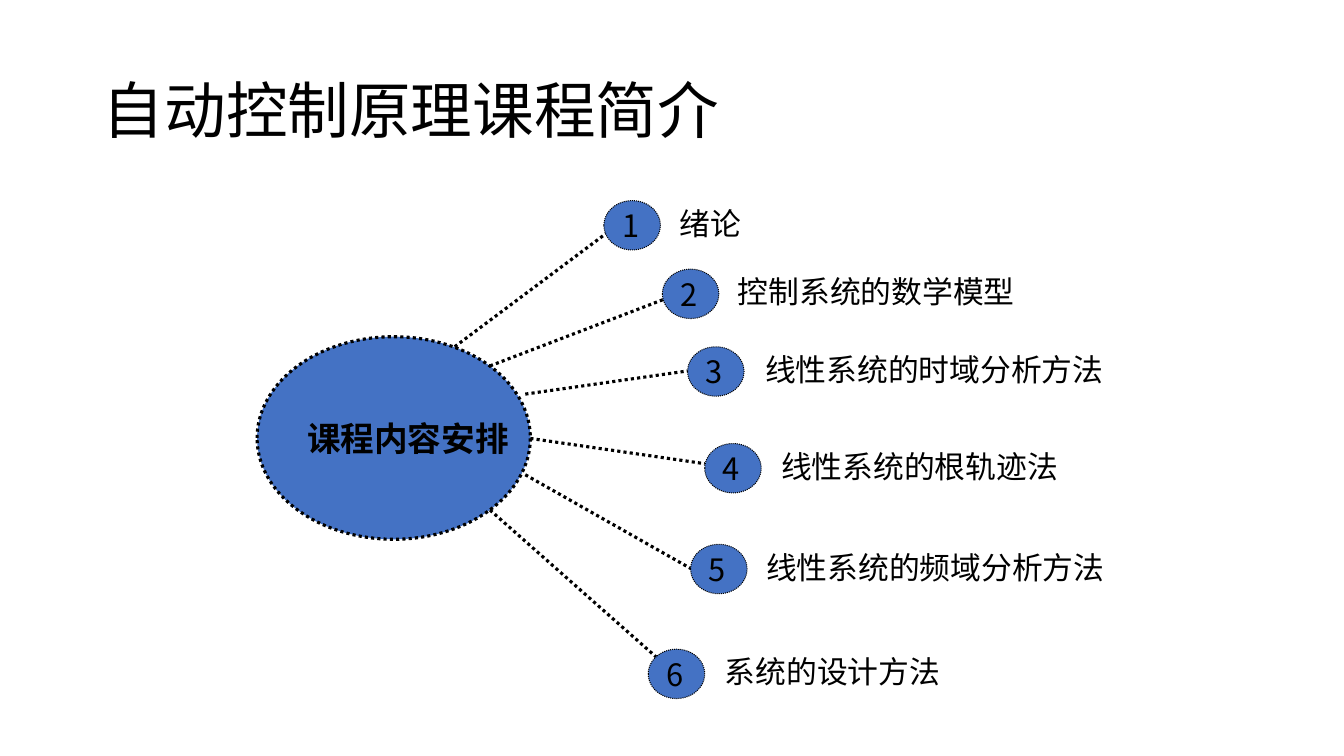
from pptx import Presentation
from pptx.dml.color import RGBColor
from pptx.enum.dml import MSO_LINE
from pptx.enum.shapes import MSO_CONNECTOR, MSO_SHAPE
from pptx.enum.text import MSO_ANCHOR, MSO_AUTO_SIZE, PP_ALIGN
from pptx.oxml.ns import qn
from pptx.util import Inches, Pt
from lxml.etree import SubElement

TITLE = "自动控制原理课程简介"
HUB = "课程内容安排"
TOPICS = [
    ("绪论", (5.99, 1.99), (4.51, 3.44), (6.06, 2.28), 6.64),
    ("控制系统的数学模型", (6.57, 2.67), (4.86, 3.63), (6.61, 2.96), 7.22),
    ("线性系统的时域分析方法", (6.82, 3.44), (5.21, 3.91), (6.82, 3.68), 7.49),
    ("线性系统的根轨迹法", (6.99, 4.4), (5.26, 4.35), (6.99, 4.6), 7.65),
    ("线性系统的频域分析方法", (6.85, 5.4), (5.21, 4.71), (6.85, 5.64), 7.5),
    ("系统的设计方法", (6.43, 6.44), (4.86, 5.06), (6.51, 6.52), 7.09),
]
CJK = "Noto Sans CJK SC"
BLUE, BLACK, WHITE = "4472C4", "000000", "FFFFFF"
DOT = (0.56, 0.49)


def color(code):
    return RGBColor.from_string(code)


def inches(*nums):
    return [Inches(n) for n in nums]


def write(frame, text, size, face=CJK, bold=False):
    para = frame.paragraphs[0]
    para.alignment = PP_ALIGN.LEFT
    run = para.add_run()
    run.text = text
    font = run.font
    font.size, font.name, font.bold = Pt(size), face, bold
    font.color.rgb = color(BLACK)
    SubElement(font._element, qn("a:ea")).set("typeface", CJK)
    return para


def dotted(line, width):
    line.color.rgb = color(BLACK)
    line.width = Pt(width)
    line.dash_style = MSO_LINE.ROUND_DOT


def oval(shapes, box, width, text, size, face=CJK, bold=False):
    shape = shapes.add_shape(MSO_SHAPE.OVAL, *inches(*box))
    shape.shadow.inherit = False
    shape.fill.solid()
    shape.fill.fore_color.rgb = color(BLUE)
    dotted(shape.line, width)
    frame = shape.text_frame
    frame.word_wrap = False
    frame.vertical_anchor = MSO_ANCHOR.MIDDLE
    write(frame, text, size, face, bold)


def link(shapes, start, end):
    line = shapes.add_connector(MSO_CONNECTOR.STRAIGHT, *inches(*start, *end))
    dotted(line.line, 2.25)
    SubElement(line._element.spPr, qn("a:effectLst"))


def label(shapes, left, top, text):
    width = 0.2 + 0.31 * len(text)
    frame = shapes.add_textbox(*inches(left, top, width, 0.47)).text_frame
    frame.word_wrap = False
    frame.auto_size = MSO_AUTO_SIZE.SHAPE_TO_FIT_TEXT
    write(frame, text, 22)


def main():
    deck = Presentation()
    deck.slide_width, deck.slide_height = inches(13.33, 7.5)
    slide = deck.slides.add_slide(deck.slide_layouts[5])
    slide.background.fill.solid()
    slide.background.fill.fore_color.rgb = color(WHITE)
    shapes = slide.shapes
    title = shapes.title
    title.left, title.top, title.width, title.height = inches(0.92, 0.4, 11.5, 1.45)
    title.text_frame.vertical_anchor = MSO_ANCHOR.MIDDLE
    write(title.text_frame, TITLE, 44).line_spacing = 0.9

    oval(shapes, (2.55, 3.34, 2.71, 2.01), 2.25, HUB, 24, "Arial", True)
    for num, (text, spot, start, end, left) in enumerate(TOPICS, 1):
        link(shapes, start, end)
        oval(shapes, spot + DOT, 0.75, str(num), 22)
        label(shapes, left, spot[1] - 0.01, text)
    deck.save("out.pptx")


if __name__ == "__main__":
    main()
